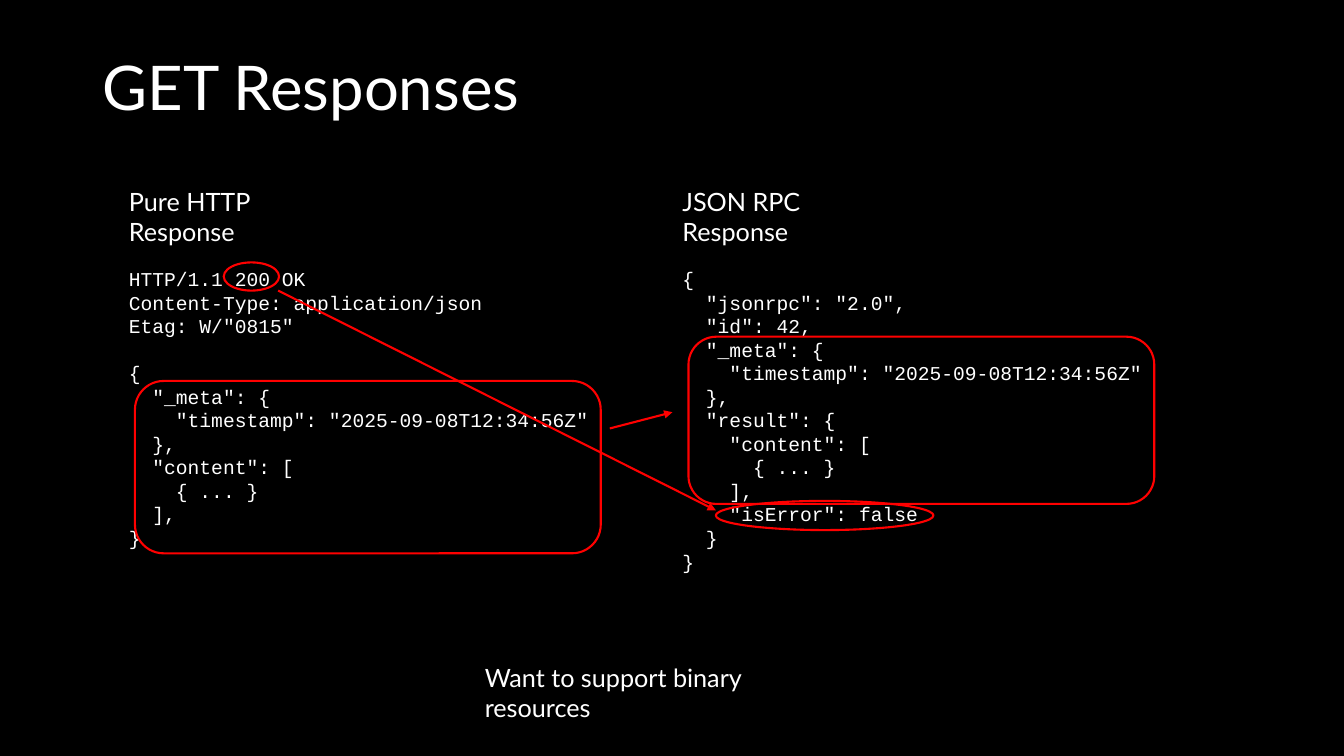
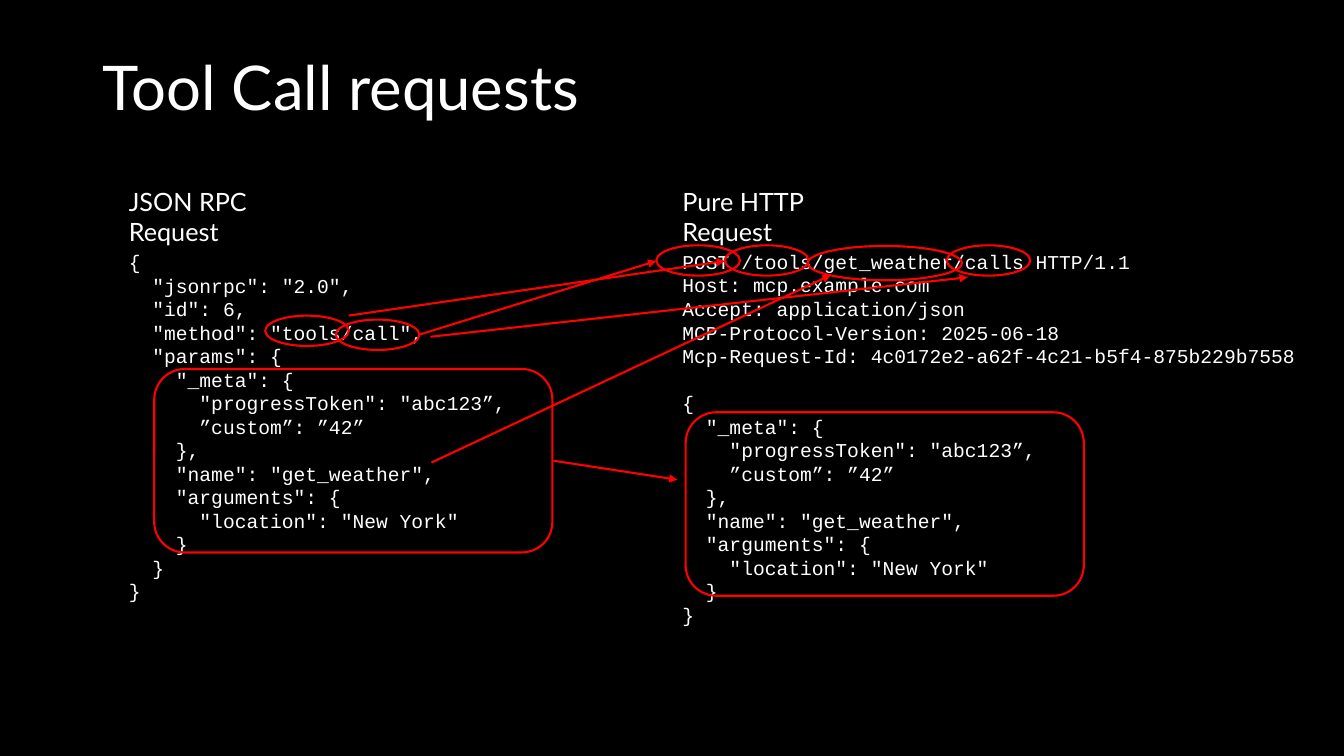
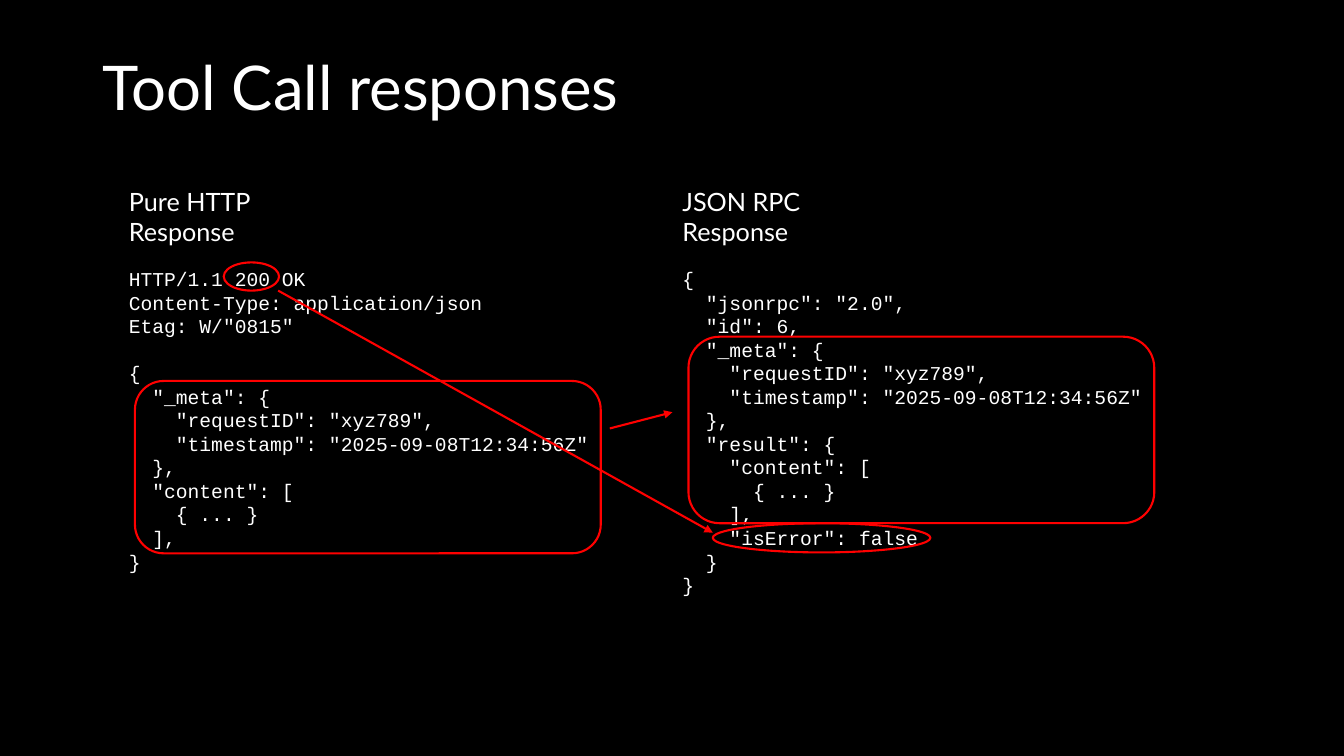
from lxml import etree
from pptx import Presentation
from pptx.dml.color import RGBColor
from pptx.enum import shapes, text
from pptx.oxml import ns
from pptx.util import Inches, Pt

BLACK, WHITE, RED = "000000", "FFFFFF", "FF0000"
SANS, MONO = "Lato", "Courier New"
LEFT_X, RIGHT_X = 1.18, 6.67
HEADING_Y, RESPONSE_Y, REQUEST_Y = 1.8, 2.6, 2.43
PAD_X, PAD_Y = 0.1, 0.05            # text box insets
COL, ROW = 8.4 / 72, 16.8 / 72      # one character and one line of code
OVAL = shapes.MSO_SHAPE.OVAL
FRAME = shapes.MSO_SHAPE.ROUNDED_RECTANGLE

TOOL_REQUEST = """{
  "jsonrpc": "2.0",
  "id": 6,
  "method": "tools/call",
  "params": {
    "_meta": {
      "progressToken": "abc123”,
      ”custom”: ”42”
    },
    "name": "get_weather",
    "arguments": {
      "location": "New York"
    }
  }
}"""

HTTP_REQUEST_HEAD = """POST /tools/get_weather/calls HTTP/1.1
Host: mcp.example.com
Accept: application/json
MCP-Protocol-Version: 2025-06-18
Mcp-Request-Id: 4c0172e2-a62f-4c21-b5f4-875b229b7558"""

HTTP_RESPONSE_HEAD = """HTTP/1.1 200 OK
Content-Type: application/json
Etag: W/"0815\""""


def rgb(value):
    return RGBColor.from_string(value)


def style(p, font, size):
    for r in p.runs:
        r.font.name, r.font.size = font, Pt(size)
        r.font.color.rgb = rgb(WHITE)


def new_slide(prs, title):
    s = prs.slides.add_slide(prs.slide_layouts[5])
    sp = s.shapes.title
    sp.left, sp.top, sp.width, sp.height = map(Inches, (0.92, 0.4, 11.5, 1))
    tf = sp.text_frame
    tf.text = title
    tf.auto_size = text.MSO_AUTO_SIZE.NONE
    tf.vertical_anchor = text.MSO_ANCHOR.MIDDLE
    p = tf.paragraphs[0]
    p.alignment, p.line_spacing = text.PP_ALIGN.LEFT, 0.9
    style(p, SANS, 44)
    return s


def text_box(s, x, y, w, h, content, font, size):
    sp = s.shapes.add_textbox(*map(Inches, (x, y, w, h)))
    tf = sp.text_frame
    tf.word_wrap = True
    tf.text = content
    for p in tf.paragraphs:
        style(p, font, size)
    return tf


class CodePanel:
    """A heading over a code listing, with marks placed by column and row."""

    def __init__(self, s, x, y, w, heading, *blocks):
        self.s, self.x, self.y = s, x + PAD_X, y + PAD_Y
        text_box(s, x, HEADING_Y, 2, 0.7, heading, SANS, 18)
        lines = "\n".join(blocks).split("\n")
        height = (len(lines) + len(blocks) - 1) * ROW + 2 * PAD_Y
        tf = text_box(s, x, y, w, height, "\n".join(lines), MONO, 14)
        # One empty line of space between the header and the body
        start = 0
        for block in blocks[:-1]:
            start += block.count("\n") + 1
            tf.paragraphs[start].space_before = Pt(ROW * 72)

    def at(self, col, row):
        return Inches(self.x + col * COL), Inches(self.y + row * ROW)

    def mark(self, kind, col, row, cols, rows):
        sp = self.s.shapes.add_shape(kind, *self.at(col, row),
                                     Inches(cols * COL), Inches(rows * ROW))
        sp.shadow.inherit = False
        sp.fill.background()
        sp.line.color.rgb, sp.line.width = rgb(RED), Pt(1.5)

    def arrow(self, start, other, end):
        line = self.s.shapes.add_connector(
            shapes.MSO_CONNECTOR.STRAIGHT, *self.at(*start), *other.at(*end))
        line.line.color.rgb, line.line.width = rgb(RED), Pt(1.5)
        etree.SubElement(line.line._get_or_add_ln(), ns.qn("a:tailEnd"),
                         type="triangle")
        etree.SubElement(line._element.spPr, ns.qn("a:effectLst"))


def indent(lines, level):
    return ["  " * level + line for line in lines]


def response_slide(prs, title, request_id, extra_meta=()):
    s = new_slide(prs, title)
    extra = len(extra_meta)
    entries = [*extra_meta, '"timestamp": "2025-09-08T12:34:56Z"']
    meta = ['"_meta": {', *indent(entries, 1), "},"]
    content = ['"content": [', "  { ... }", "],"]
    body = ["{", *indent(meta + content, 1), "}"]
    result = ['"result": {', *indent(content + ['"isError": false'], 1), "}"]
    rpc_lines = ['"jsonrpc": "2.0",', f'"id": {request_id},', *meta, *result]

    # Listings
    rpc = CodePanel(s, RIGHT_X, RESPONSE_Y, 5, "JSON RPC Response",
                    "\n".join(["{", *indent(rpc_lines, 1), "}"]))
    http = CodePanel(s, LEFT_X, RESPONSE_Y, 5, "Pure HTTP Response",
                     HTTP_RESPONSE_HEAD, "\n".join(body))

    # Status code to error flag
    flag_col, flag_row = 2.83 - 0.26 * extra, 9.94 + 0.95 * extra
    http.mark(OVAL, 8.05, -0.2, 4.7, 1.2)
    rpc.mark(OVAL, flag_col, flag_row, 18.5, 1.24)
    http.arrow((12.68, 1), rpc, (flag_col, flag_row + 0.4))

    # Body to result
    http.mark(FRAME, 0.5, 4.84, 39.6, 7.33)
    rpc.mark(FRAME, 0.5, 2.96, 39.6, 7.11 + 0.82 * extra)
    http.arrow((40.87, 6.86), rpc, (-0.86, 6.17))
    return s


def request_slide(prs):
    s = new_slide(prs, "Tool Call requests")
    params = TOOL_REQUEST.split("\n")[5:13]
    body = ["{", *(line[2:] for line in params), "}"]

    # Listings
    rpc = CodePanel(s, LEFT_X, REQUEST_Y, 5, "JSON RPC Request", TOOL_REQUEST)
    http = CodePanel(s, RIGHT_X, REQUEST_Y, 6.4, "Pure HTTP Request",
                     HTTP_REQUEST_HEAD, "\n".join(body))

    # Method and tool name to the parts of the request line
    word = (7.11, 1.29)
    for col, row in ((11.57, 2.79), (17.57, 2.96)):
        rpc.mark(OVAL, col, row, *word)
    for col in (-2.23, 3.6, 22.45):
        http.mark(OVAL, col, -0.2, *word)
    http.mark(OVAL, 10.63, -0.17, 13.11, 1.46)
    for start, end in (((18.68, 2.79), (3.6, 0.47)),
                       ((24.68, 3.6), (-2.23, 0.47)),
                       ((25.71, 9.04), (12.6, 1.07)),
                       ((25.62, 3.69), (24.25, 1.16))):
        rpc.arrow(start, http, end)

    # Params to body
    for panel, col, row in ((rpc, 2.14, 5.06), (http, 0.26, 6.9)):
        panel.mark(FRAME, col, row, 33.85, 7.8)
    rpc.arrow((36.08, 8.96), http, (-0.43, 9.77))


def main():
    prs = Presentation()
    prs.slide_width, prs.slide_height = Inches(13.33), Inches(7.5)
    fill = prs.slide_master.background.fill
    fill.solid()
    fill.fore_color.rgb = rgb(BLACK)

    s = response_slide(prs, "GET Responses", 42)
    text_box(s, 4.71, 6.52, 3.6, 0.7, "Want to support binary resources",
             SANS, 18)
    request_slide(prs)
    response_slide(prs, "Tool Call responses", 6, ['"requestID": "xyz789",'])
    prs.save("out.pptx")


if __name__ == "__main__":
    main()
